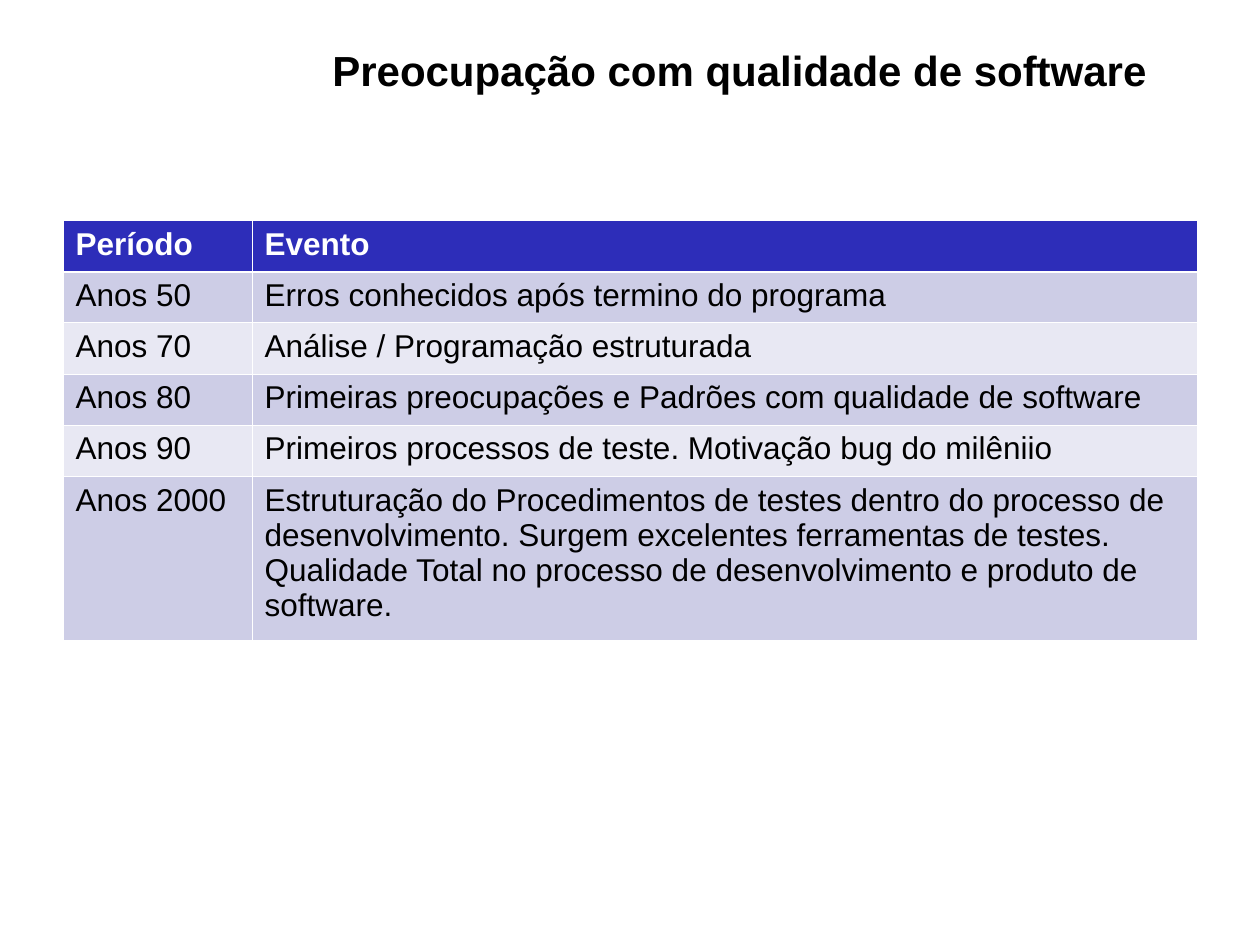
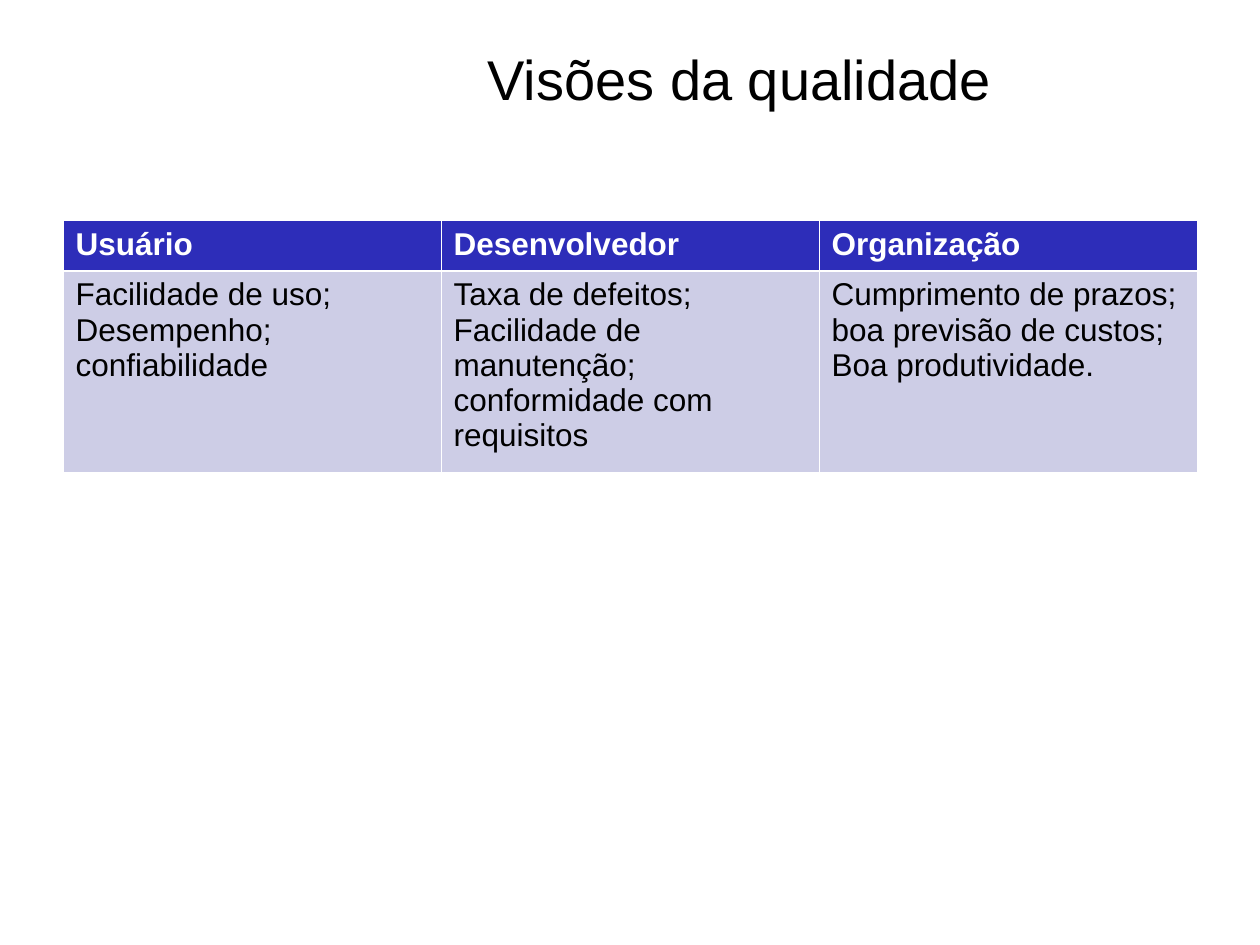
from lxml.etree import SubElement
from pptx import Presentation
from pptx.dml.color import RGBColor
from pptx.enum.text import MSO_ANCHOR, PP_ALIGN
from pptx.oxml.ns import qn
from pptx.util import Inches, Pt

BLACK = RGBColor(0x00, 0x00, 0x00)
WHITE = RGBColor(0xFF, 0xFF, 0xFF)
HEADER_BLUE = RGBColor(0x2D, 0x2D, 0xB9)
BAND_DARK = RGBColor(0xCD, 0xCD, 0xE6)
BAND_LIGHT = RGBColor(0xE8, 0xE8, 0xF3)

FONT = "Arial"
SLIDE_W, SLIDE_H = Inches(10), Inches(7.5)
MARGIN = 0.05 * SLIDE_W
TABLE_W = SLIDE_W - 2 * MARGIN
TABLE_TOP = Inches(1.75)
TITLE_LEFT, TITLE_TOP = Inches(2.24), 0.04 * SLIDE_H
TITLE_W, TITLE_H = SLIDE_W - MARGIN - TITLE_LEFT, Inches(0.85)
THIN, THICK = Pt(0.45), Pt(1.47)

PERIODS = [
    ("Período", "Evento"),
    ("Anos 50", "Erros conhecidos após termino do programa"),
    ("Anos 70", "Análise / Programação estruturada"),
    ("Anos 80", "Primeiras preocupações e Padrões com qualidade de software"),
    ("Anos 90", "Primeiros processos de teste. Motivação bug do milêniio"),
    ("Anos 2000", "Estruturação do Procedimentos de testes dentro do processo de "
                  "desenvolvimento. Surgem excelentes ferramentas de testes. "
                  "Qualidade Total no processo de desenvolvimento e produto de software."),
]
VIEWS = [
    ("Usuário", "Desenvolvedor", "Organização"),
    ("Facilidade de uso; Desempenho; confiabilidade",
     "Taxa de defeitos; Facilidade de manutenção; conformidade com requisitos",
     "Cumprimento de prazos; boa previsão de custos; Boa produtividade."),
]


def format_text(tf, size, color, bold):
    for p in tf.paragraphs:
        for r in p.runs:
            r.font.name = FONT
            r.font.size = Pt(size)
            r.font.bold = bold
            r.font.color.rgb = color


def add_title(slide, text, size, bold=False):
    box = slide.shapes.add_textbox(
        *map(int, (TITLE_LEFT, TITLE_TOP, TITLE_W, TITLE_H)))
    tf = box.text_frame
    tf.word_wrap = True
    tf.vertical_anchor = MSO_ANCHOR.TOP
    tf.text = text
    tf.paragraphs[0].alignment = PP_ALIGN.CENTER
    format_text(tf, size, BLACK, bold)


def set_borders(cell, top, bottom):
    """Draw white borders; call before filling, as lines precede the fill in XML."""
    tc_pr = cell._tc.get_or_add_tcPr()
    for side, width in (("L", THIN), ("R", THIN), ("T", top), ("B", bottom)):
        ln = SubElement(tc_pr, qn(f"a:ln{side}"), w=str(width))
        fill = SubElement(ln, qn("a:solidFill"))
        SubElement(fill, qn("a:srgbClr"), val=str(WHITE))


def style_cell(cell, row):
    is_header = row == 0
    set_borders(cell, THICK if row == 1 else THIN, THICK if is_header else THIN)
    cell.fill.solid()
    band = BAND_DARK if row % 2 else BAND_LIGHT
    cell.fill.fore_color.rgb = HEADER_BLUE if is_header else band
    format_text(cell.text_frame, 18, WHITE if is_header else BLACK, is_header)


def add_banded_table(slide, rows, col_shares, height, last_height):
    """Columns share the table width; rows above the last split the rest evenly."""
    table = slide.shapes.add_table(
        len(rows), len(col_shares),
        *map(int, (MARGIN, TABLE_TOP, TABLE_W, Inches(height)))).table
    table.first_row = table.horz_banding = False
    for column, share in zip(table.columns, col_shares):
        column.width = int(TABLE_W * share)
    for row in table.rows:
        row.height = Inches((height - last_height) / (len(rows) - 1))
    table.rows[len(rows) - 1].height = Inches(last_height)
    for i, texts in enumerate(rows):
        for j, text in enumerate(texts):
            cell = table.cell(i, j)
            cell.text_frame.text = text
            style_cell(cell, i)


def main():
    prs = Presentation()
    prs.slide_width, prs.slide_height = SLIDE_W, SLIDE_H
    blank = prs.slide_layouts[6]

    history = prs.slides.add_slide(blank)
    add_title(history, "Preocupação com qualidade de software", 24, bold=True)
    add_banded_table(history, PERIODS, (1 / 6, 5 / 6), 3.33, 1.3)

    views = prs.slides.add_slide(blank)
    add_title(views, "Visões da qualidade", 32)
    add_banded_table(views, VIEWS, (1 / 3,) * 3, 2, 1.6)

    prs.save("out.pptx")


if __name__ == "__main__":
    main()
